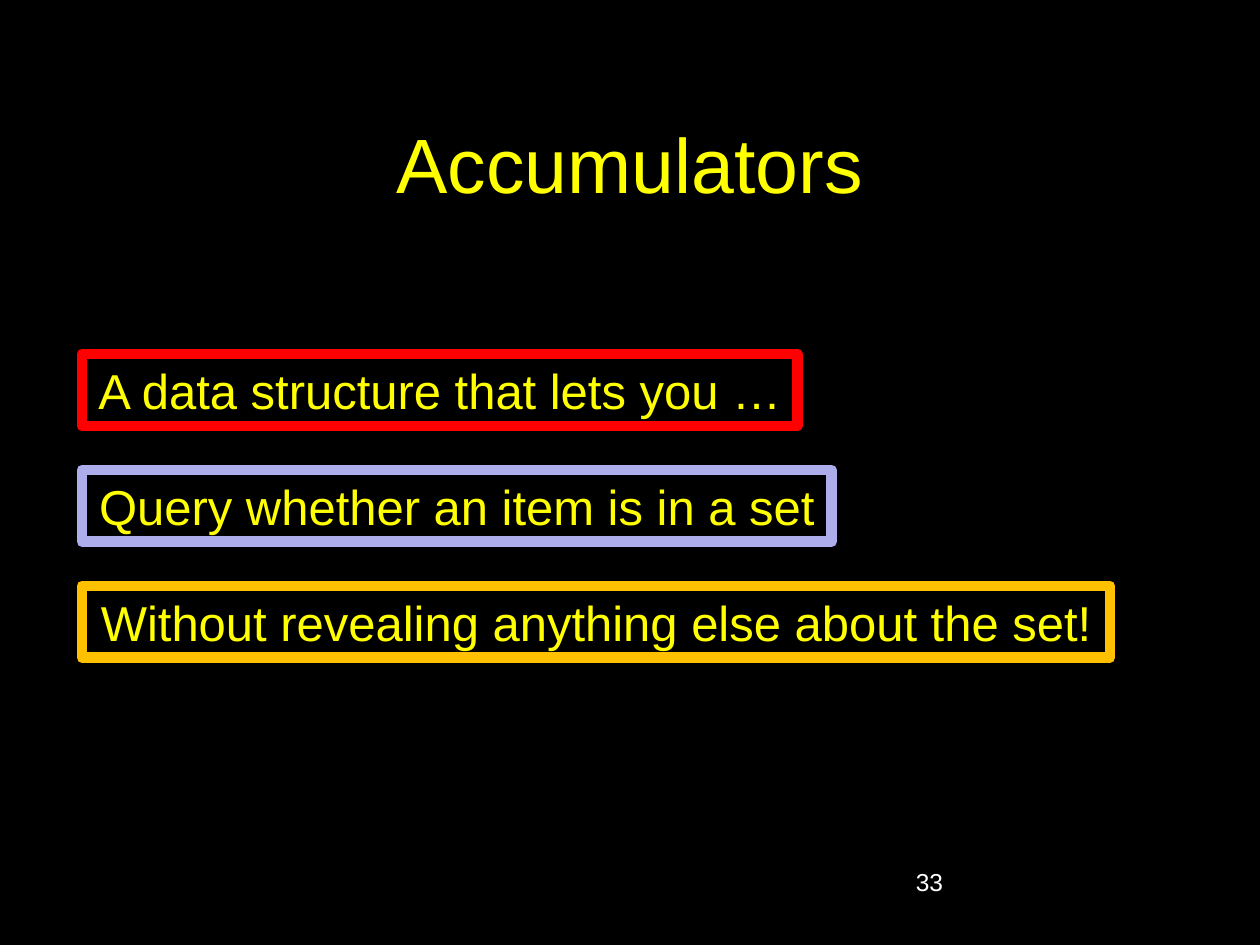
import pptx
import pptx.util
import pptx.dml.color
import pptx.enum.shapes
import pptx.enum.text
from dataclasses import dataclass

Inches = pptx.util.Inches
ALIGN = pptx.enum.text.PP_ALIGN
ANCHOR = pptx.enum.text.MSO_ANCHOR
FIT = pptx.enum.text.MSO_AUTO_SIZE


def color(code):
    return pptx.dml.color.RGBColor.from_string(code)


@dataclass(frozen=True)
class Theme:
    font: str = "Arial"
    back: str = "000000"
    main: str = "FFFF00"
    plain: str = "FFFFFF"
    red: str = "FF0000"
    lilac: str = "ADADEB"
    gold: str = "FFC000"
    title: int = 44
    body: int = 28
    note: int = 14
    border: int = 6


def write(frame, text, size, fill, font, align=ALIGN.CENTER,
          anchor=ANCHOR.TOP, wrap=True, fit=FIT.NONE):
    """Put one formatted paragraph into a text frame."""
    frame.word_wrap = wrap
    frame.auto_size = fit
    frame.vertical_anchor = anchor
    par = frame.paragraphs[0]
    par.alignment = align
    run = par.add_run()
    run.text = text
    run.font.name = font
    run.font.size = pptx.util.Pt(size)
    run.font.color.rgb = color(fill)


class Page:
    """Holds the style and the current slide."""

    def __init__(self, deck, theme):
        self.theme = theme
        self.slide = deck.slides.add_slide(deck.slide_layouts[5])
        back = self.slide.background.fill
        back.solid()
        back.fore_color.rgb = color(theme.back)

    def title(self, text, left, top, width, height):
        style = self.theme
        head = self.slide.shapes.title
        head.left, head.top = Inches(left), Inches(top)
        head.width, head.height = Inches(width), Inches(height)
        write(head.text_frame, text, style.title, style.main, style.font,
              anchor=ANCHOR.MIDDLE)

    def box(self, text, left, top, width, height, edge):
        style = self.theme
        box = self.slide.shapes.add_shape(
            pptx.enum.shapes.MSO_SHAPE.RECTANGLE,
            Inches(left), Inches(top), Inches(width), Inches(height))
        box.shadow.inherit = False
        box.fill.solid()
        box.fill.fore_color.rgb = color(style.back)
        box.line.color.rgb = color(edge)
        box.line.width = pptx.util.Pt(style.border)
        write(box.text_frame, text, style.body, style.main, style.font,
              wrap=False, fit=FIT.SHAPE_TO_FIT_TEXT)

    def note(self, text, left, top, width, height):
        style = self.theme
        note = self.slide.shapes.add_textbox(
            Inches(left), Inches(top), Inches(width), Inches(height))
        write(note.text_frame, text, style.note, style.plain, style.font,
              align=ALIGN.LEFT)


def main():
    deck = pptx.Presentation()
    deck.slide_width, deck.slide_height = Inches(10), Inches(7.5)
    theme = Theme()
    page = Page(deck, theme)

    # Title
    page.title("Accumulators", 0.75, 0.67, 8.5, 1.25)

    # Framed statements, evenly stacked
    lines = [
        ("A data structure that lets you …", 5.68, theme.red),
        ("Query whether an item is in a set", 5.95, theme.lilac),
        ("Without revealing anything else about the set!", 8.16, theme.gold),
    ]
    for row, (text, width, edge) in enumerate(lines):
        page.box(text, 0.65, 2.81 + 0.92 * row, width, 0.57, edge)

    # Page number
    page.note("33", 7.17, 6.83, 2.08, 0.5)

    deck.save("out.pptx")


if __name__ == "__main__":
    main()
